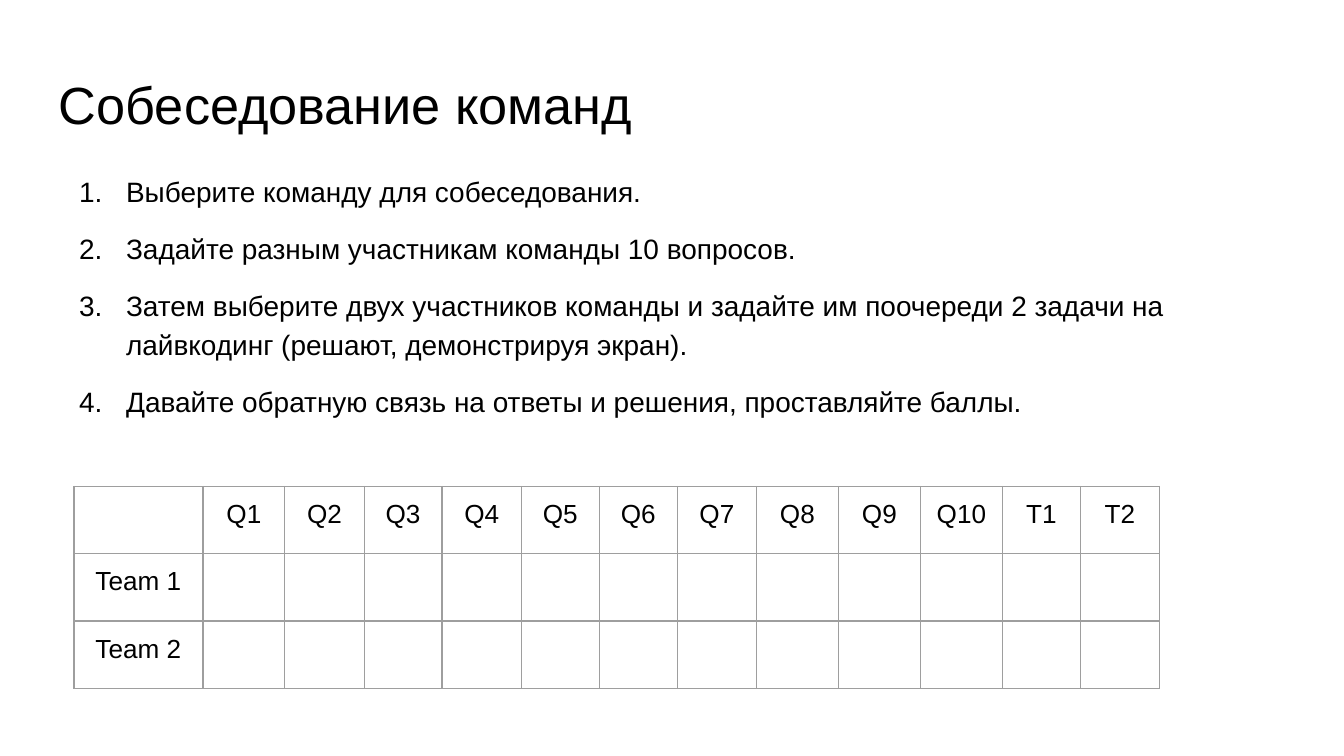
from lxml.etree import SubElement
from pptx import Presentation
from pptx.dml.color import RGBColor
from pptx.enum.text import PP_ALIGN
from pptx.oxml.ns import qn
from pptx.util import Inches, Pt

BLACK = RGBColor(0x00, 0x00, 0x00)
GRID = RGBColor(0x9E, 0x9E, 0x9E)
MARGIN = Inches(0.1)
LEFT = Inches(0.34)

STEPS = [
    "Выберите команду для собеседования.",
    "Задайте разным участникам команды 10 вопросов.",
    "Затем выберите двух участников команды и задайте им поочереди "
    "2 задачи на лайвкодинг (решают, демонстрируя экран).",
    "Давайте обратную связь на ответы и решения, проставляйте баллы.",
]
HEADERS = [""] + [f"Q{n}" for n in range(1, 11)] + ["T1", "T2"]
TEAMS = ["Team 1", "Team 2"]
COLUMN_WIDTHS = [0.96, 0.61, 0.59, 0.58, 0.59, 0.58, 0.58,
                 0.59, 0.61, 0.61, 0.61, 0.58, 0.59]
ROW_HEIGHTS = [0.42, 0.4, 0.49]


def add_run(p, text, size):
    r = p.add_run()
    r.text = text
    r.font.size = Pt(size)
    r.font.name = "Arial"
    r.font.color.rgb = BLACK


def add_text_frame(slide, top, width, height):
    """Add a wrapping text box at the common left edge and return its frame."""
    tf = slide.shapes.add_textbox(LEFT, top, width, height).text_frame
    tf.word_wrap = True
    tf.margin_left = tf.margin_right = tf.margin_top = tf.margin_bottom = MARGIN
    return tf


prs = Presentation()
prs.slide_width = Inches(10)
prs.slide_height = prs.slide_width * 9 // 16
slide = prs.slides.add_slide(prs.slide_layouts[6])

# Title
tf = add_text_frame(slide, Inches(0.49), Inches(9.32), Inches(0.63))
p = tf.paragraphs[0]
p.line_spacing = 0.9
add_run(p, "Собеседование команд", 28)

# Numbered steps
tf = add_text_frame(slide, Inches(1.16), Inches(8.94), Inches(2.24))
for i, step in enumerate(STEPS):
    p = tf.add_paragraph() if i else tf.paragraphs[0]
    p.line_spacing = 1.15
    p.space_before = Pt(10 if i else 0)
    pPr = p._p.get_or_add_pPr()
    pPr.set("marL", str(Inches(0.5)))
    pPr.set("indent", str(Inches(-0.35)))
    SubElement(pPr, qn("a:buFont"), typeface="Arial")
    SubElement(pPr, qn("a:buAutoNum"), type="arabicPeriod")
    add_run(p, step, 15)
p.space_after = Pt(10)

# Score table
rows = [HEADERS] + [[team] + [""] * (len(HEADERS) - 1) for team in TEAMS]
table = slide.shapes.add_table(len(rows), len(HEADERS), Inches(0.55), Inches(3.62),
                               Inches(sum(COLUMN_WIDTHS)), Inches(sum(ROW_HEIGHTS))).table
table.first_row = table.horz_banding = False
for column, width in zip(table.columns, COLUMN_WIDTHS):
    column.width = Inches(width)
for y, row in enumerate(rows):
    table.rows[y].height = Inches(ROW_HEIGHTS[y])
    for x, text in enumerate(row):
        cell = table.cell(y, x)
        cell.margin_left = cell.margin_right = MARGIN
        cell.margin_top = cell.margin_bottom = MARGIN
        tcPr = cell._tc.get_or_add_tcPr()
        for side in ("lnL", "lnR", "lnT", "lnB"):
            ln = SubElement(tcPr, qn(f"a:{side}"), w=str(Pt(0.75)))
            fill = SubElement(ln, qn("a:solidFill"))
            SubElement(fill, qn("a:srgbClr"), val=str(GRID))
        cell.fill.background()
        if text:
            p = cell.text_frame.paragraphs[0]
            p.alignment = PP_ALIGN.CENTER
            add_run(p, text, 14)

prs.save("out.pptx")
